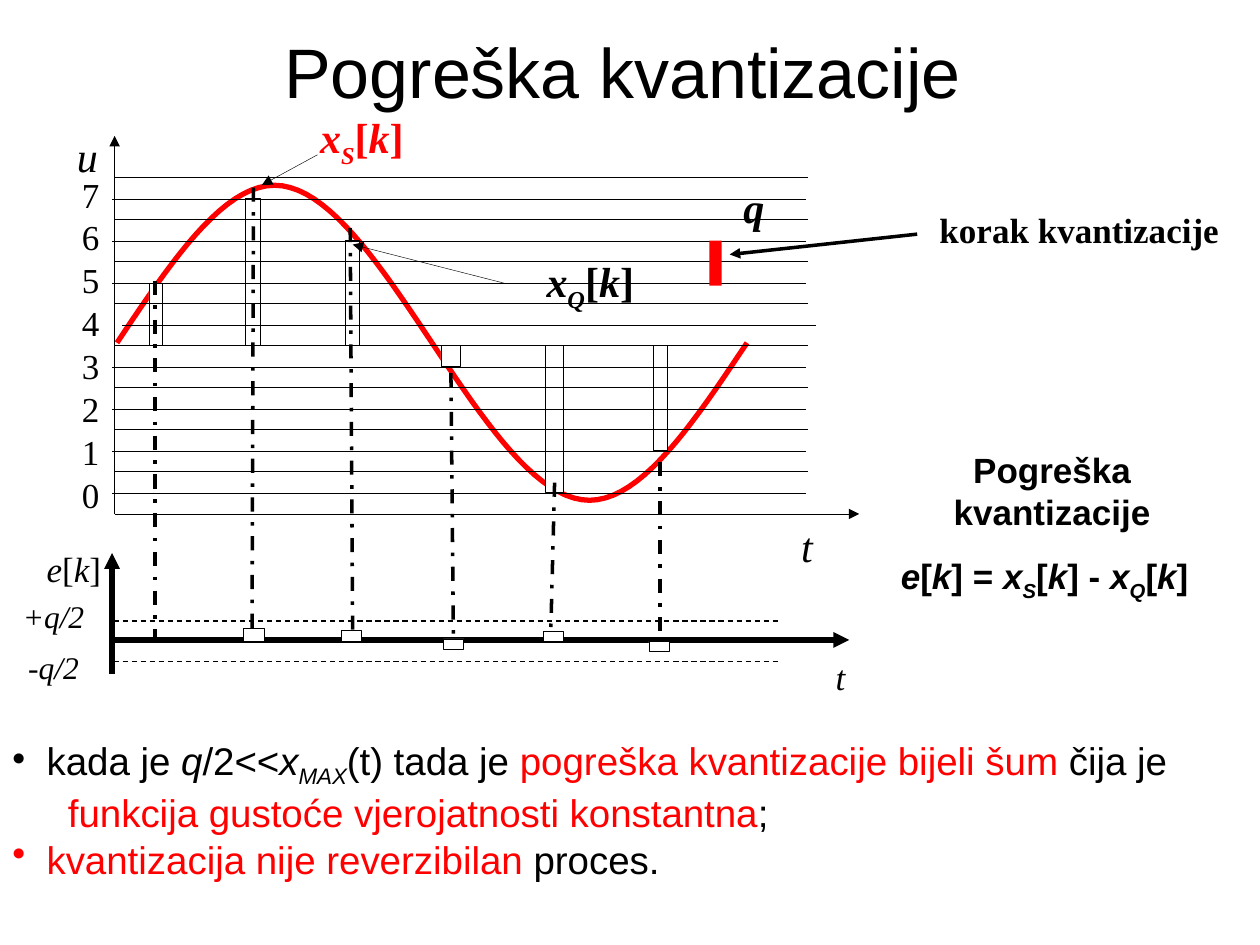
from dataclasses import dataclass
from typing import Optional

from lxml import etree
from pptx import Presentation
from pptx import util as u
from pptx.dml.color import RGBColor
from pptx.enum import dml, shapes, text
from pptx.oxml.ns import qn

BLACK, RED, WHITE = "000000", "FF0000", "FFFFFF"
SERIF, SANS = "Times New Roman", "Arial"
LEFT, CENTER = text.PP_ALIGN.LEFT, text.PP_ALIGN.CENTER
TOP, MIDDLE = text.MSO_ANCHOR.TOP, text.MSO_ANCHOR.MIDDLE
DASH = dml.MSO_LINE


@dataclass
class Run:
    text: str
    italic: bool = False
    subscript: bool = False
    color: str = BLACK


@dataclass
class Box:
    left: float
    top: float
    width: float
    height: float


@dataclass
class Line:
    x1: float
    y1: float
    x2: float
    y2: float
    width: float = 0.25
    dash: Optional[DASH] = None
    arrow: bool = False


@dataclass
class Label:
    box: Box
    paragraphs: list[list[Run]]
    size: float
    font: str = SERIF
    bold: bool = False
    align: text.PP_ALIGN = CENTER
    anchor: text.MSO_ANCHOR = MIDDLE
    spacing: float = 1.0
    before: float = 0
    wrap: bool = True


def rgb(color: str) -> RGBColor:
    return RGBColor.from_string(color)


def draw_line(slide, line: Line) -> None:
    ends = [u.Cm(value) for value in (line.x1, line.y1, line.x2, line.y2)]
    connector = slide.shapes.add_connector(shapes.MSO_CONNECTOR.STRAIGHT, *ends)
    connector.line.color.rgb = rgb(BLACK)
    connector.line.width = u.Pt(line.width)
    if line.dash:
        connector.line.dash_style = line.dash
    properties = connector._element.spPr
    if line.arrow:
        outline = properties.find(qn("a:ln"))
        etree.SubElement(outline, qn("a:tailEnd"), type="triangle")
    etree.SubElement(properties, qn("a:effectLst"))


def draw_bar(slide, box: Box, fill: str = WHITE, outlined: bool = True) -> None:
    shape = slide.shapes.add_shape(
        shapes.MSO_SHAPE.RECTANGLE,
        u.Cm(box.left), u.Cm(box.top), u.Cm(box.width), u.Cm(box.height))
    shape.shadow.inherit = False
    shape.fill.solid()
    shape.fill.fore_color.rgb = rgb(fill)
    if outlined:
        shape.line.color.rgb = rgb(BLACK)
        shape.line.width = u.Pt(0.25)
    else:
        shape.line.fill.background()


def draw_half_wave(slide, left: float, direction: int, steps: int = 40) -> None:
    quarter, middle = 3.175, 6.91
    points = []
    for step in range(steps + 1):
        position = 2 * step / steps
        phase = 1 - abs(1 - position)
        rise = direction * (1.5 * phase - 0.5 * phase ** 3)
        points.append((u.Cm(left + quarter * position), u.Cm(middle - quarter * rise)))
    builder = slide.shapes.build_freeform(*points[0])
    builder.add_line_segments(points[1:], close=False)
    shape = builder.convert_to_shape()
    shape.shadow.inherit = False
    shape.fill.background()
    shape.line.color.rgb = rgb(RED)
    shape.line.width = u.Pt(3)


def add_bullet(paragraph, color: str) -> None:
    properties = paragraph._p.get_or_add_pPr()
    properties.set("marL", str(u.Cm(0.69)))
    properties.set("indent", str(-u.Cm(0.69)))
    bullet_color = etree.SubElement(properties, qn("a:buClr"))
    etree.SubElement(bullet_color, qn("a:srgbClr"), val=color)
    etree.SubElement(properties, qn("a:buChar"), char="•")
    tabs = etree.SubElement(properties, qn("a:tabLst"))
    for position in (0.43, 1.12):
        etree.SubElement(tabs, qn("a:tab"), pos=str(u.Cm(position)), algn="l")


def draw_label(slide, label: Label, bullets: tuple[str, ...] = ()) -> None:
    box = label.box
    shape = slide.shapes.add_textbox(
        u.Cm(box.left), u.Cm(box.top), u.Cm(box.width), u.Cm(box.height))
    frame = shape.text_frame
    frame.word_wrap = label.wrap
    frame.vertical_anchor = label.anchor
    for index, runs in enumerate(label.paragraphs):
        paragraph = frame.add_paragraph() if index else frame.paragraphs[0]
        if bullets:
            add_bullet(paragraph, bullets[index])
        paragraph.alignment = label.align
        if label.spacing != 1:
            paragraph.line_spacing = label.spacing
        if index and label.before:
            paragraph.space_before = u.Pt(label.before)
        for part in runs:
            if part.text == "\n":
                paragraph.add_line_break()
                continue
            run = paragraph.add_run()
            run.text = part.text
            run.font.name = label.font
            run.font.size = u.Pt(label.size)
            run.font.bold = label.bold
            run.font.italic = part.italic
            run.font.color.rgb = rgb(part.color)
            if part.subscript:
                run._r.get_or_add_rPr().set("baseline", "-25000")


def indexed(name: str, subscript: str = "", color: str = BLACK) -> list[Run]:
    runs = [Run(name, True, color=color)]
    if subscript:
        runs.append(Run(subscript, True, True, color))
    return runs + [Run("[", color=color), Run("k", True, color=color), Run("]", color=color)]


SAMPLE_BARS = [
    Box(3, 5.72, 0.28, 1.24), Box(4.95, 3.99, 0.3, 2.97), Box(6.96, 4.85, 0.28, 2.11),
    Box(8.89, 6.96, 0.38, 0.43), Box(11, 6.96, 0.36, 2.97), Box(13.16, 6.96, 0.3, 2.11)]
ERROR_BARS = [
    Box(4.9, 12.67, 0.43, 0.25), Box(6.88, 12.7, 0.41, 0.23), Box(8.94, 12.88, 0.41, 0.2),
    Box(10.95, 12.73, 0.41, 0.2), Box(13.08, 12.93, 0.41, 0.2)]
SAMPLE_LINES = [
    (3.12, 5.66, 3.12, 12.9), (5.11, 3.78, 5.08, 12.85), (7.06, 4.6, 7.11, 12.93),
    (9.09, 7.52, 9.14, 12.83), (11.18, 9.73, 11.1, 12.85), (13.31, 9.32, 13.31, 12.83)]
ARROWS = [
    Line(10.21, 5.72, 7.11, 4.93, arrow=True), Line(6.4, 3.12, 5.28, 3.73, arrow=True),
    Line(18.49, 4.72, 14.71, 5.13, 2, arrow=True),
    Line(2.31, 10.36, 2.31, 2.74, arrow=True), Line(2.31, 10.36, 17.32, 10.36, arrow=True),
    Line(2.26, 13.59, 2.26, 11.15, 3, arrow=True), Line(2.31, 12.9, 17.12, 12.9, 3, arrow=True)]
LABELS = [
    Label(Box(1.12, 0.25, 22.86, 2.36), [[Run("Pogreška kvantizacije")]], 40, SANS),
    Label(Box(10.21, 5.03, 3.38, 1.42), [indexed("x", "Q")], 24, bold=True, anchor=TOP),
    Label(Box(6.1, 2.13, 2.39, 1.42), [indexed("x", "S", RED)], 24, bold=True, anchor=TOP),
    Label(Box(18.69, 3.99, 6.71, 1.19), [[Run("korak kvantizacije")]], 20,
          bold=True, align=LEFT, spacing=1.1),
    Label(Box(14.3, 3.53, 1.8, 1.27), [[Run("q", True)]], 24, bold=True),
    Label(Box(16.31, 13.08, 1.27, 1.12), [[Run("t", True)]], 20),
    Label(Box(0.69, 10.9, 1.8, 1.12), [indexed("e")], 20, align=LEFT),
    Label(Box(1.09, 3.73, 1.47, 6.73), [[Run(str(level))] for level in range(7, -1, -1)],
          20, spacing=0.5, before=12.5),
    Label(Box(15.42, 10.36, 1.7, 1.27), [[Run("t", True)]], 24),
    Label(Box(1.3, 2.51, 0.91, 1.27), [[Run("u", True)]], 24, wrap=False),
    Label(Box(0, 11.91, 2.16, 1.02), [[Run("+q/2", True)]], 18),
    Label(Box(0, 12.93, 2.16, 1.02), [[Run("-q/2", True)]], 18)]
FORMULA = Label(
    Box(17.91, 8.92, 6.6, 3.35),
    [[Run("Pogreška kvantizacije")],
     indexed("e") + [Run(" = ")] + indexed("x", "S") + [Run(" - ")] + indexed("x", "Q")],
    20, SANS, True, anchor=TOP, before=12.5)
CONCLUSIONS = Label(
    Box(0, 14.73, 25.91, 3.18),
    [[Run("kada je "), Run("q", True), Run("/2<<"), Run("x", True), Run("MAX", True, True),
      Run("(t) tada je "), Run("pogreška kvantizacije bijeli šum", color=RED),
      Run(" čija je"), Run("\n"),
      Run("\tfunkcija gustoće vjerojatnosti konstantna", color=RED), Run(";")],
     [Run("kvantizacija nije reverzibilan", color=RED), Run(" proces.")]],
    22, SANS, align=LEFT, anchor=TOP)


def main() -> None:
    presentation = Presentation()
    presentation.slide_width, presentation.slide_height = u.Cm(25.4), u.Cm(19.05)
    slide = presentation.slides.add_slide(presentation.slide_layouts[6])
    draw_half_wave(slide, 2.36, 1)
    draw_half_wave(slide, 8.71, -1)
    for bar in SAMPLE_BARS:
        draw_bar(slide, bar)
    for row in range(8):
        border = 3.58 + 0.847 * row
        level = border + 0.43
        left = 2.46 if row == 3 else 2.26
        draw_line(slide, Line(2.31, border, 16.28, border))
        draw_line(slide, Line(left, level, left + 13.97, level, dash=DASH.ROUND_DOT))
    draw_bar(slide, Box(14.3, 4.85, 0.25, 0.91), RED, outlined=False)
    for ends in SAMPLE_LINES:
        draw_line(slide, Line(*ends, width=2, dash=DASH.DASH_DOT))
    for limit in (12.52, 13.34):
        draw_line(slide, Line(2.29, limit, 15.7, limit, 0.75, DASH.DASH))
    for arrow in ARROWS:
        draw_line(slide, arrow)
    for bar in ERROR_BARS:
        draw_bar(slide, bar)
    for label in LABELS:
        draw_label(slide, label)
    FORMULA_ALIGNMENTS = (CENTER, LEFT)
    draw_label(slide, FORMULA)
    for paragraph, align in zip(slide.shapes[-1].text_frame.paragraphs, FORMULA_ALIGNMENTS):
        paragraph.alignment = align
    draw_label(slide, CONCLUSIONS, (BLACK, RED))
    presentation.save("out.pptx")


if __name__ == "__main__":
    main()
